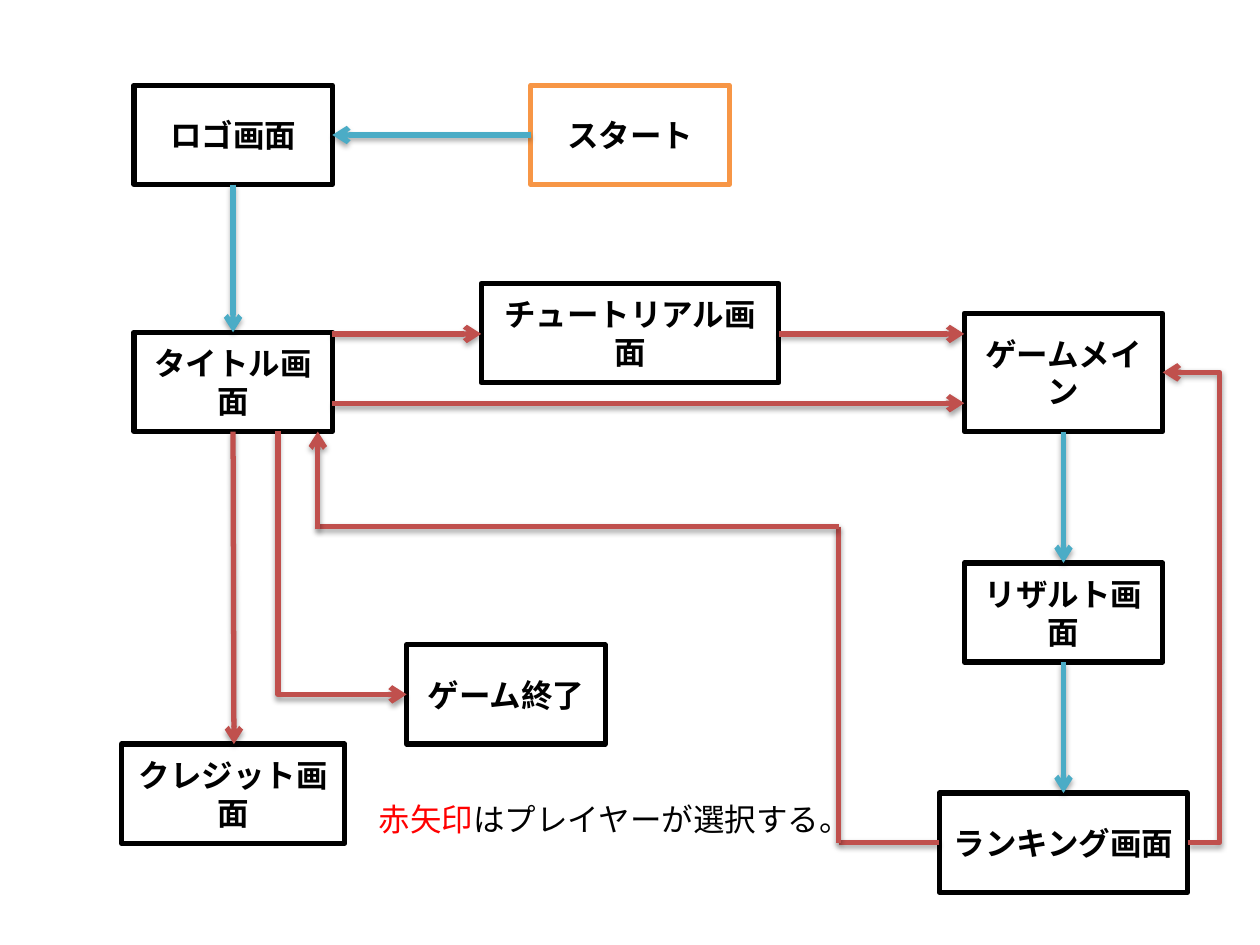
from lxml import etree
from pptx import Presentation
from pptx import util as u
from pptx.dml.color import RGBColor
from pptx.enum import shapes, text
from pptx.oxml import ns

BLACK, WHITE, RED = "000000", "FFFFFF", "FF0000"
AUTOMATIC, CHOSEN, START = "4BACC6", "C0504D", "F79646"
BOX_WIDTH, BOX_HEIGHT = 113.4, 56.7


def color(value):
    """Turn a hex string into a colour."""
    return RGBColor.from_string(value)


def add_child(parent, tag, **attributes):
    """Append a drawing element with attributes to a parent."""
    child = etree.SubElement(parent, ns.qn("a:" + tag))
    for name, value in attributes.items():
        child.set(name, str(value))
    return child


class FlowChart:
    """Style of the chart and the slide it is drawn on."""

    font = {"name": "Calibri", "size": u.Pt(18)}
    line_width = u.Pt(3)

    def __init__(self, slide):
        """Keep the current slide."""
        self.slide = slide

    def add_words(self, paragraph, words, fill=BLACK, bold=False):
        """Add a run in the chart font."""
        run = paragraph.add_run()
        run.text = words
        for name, value in {**self.font, "bold": bold}.items():
            setattr(run.font, name, value)
        run.font.color.rgb = color(fill)

    def box(self, words, left, top, width=BOX_WIDTH, height=BOX_HEIGHT, outline=BLACK):
        """Add a screen box with a centred bold label."""
        shape = self.slide.shapes.add_shape(
            shapes.MSO_SHAPE.RECTANGLE, *map(u.Pt, (left, top, width, height)))
        shape.shadow.inherit = False
        shape.fill.solid()
        shape.fill.fore_color.rgb = color(WHITE)
        shape.line.color.rgb = color(outline)
        shape.line.width = self.line_width
        frame = shape.text_frame
        frame.word_wrap = True
        frame.vertical_anchor = text.MSO_ANCHOR.MIDDLE
        paragraph = frame.paragraphs[0]
        paragraph.alignment = text.PP_ALIGN.CENTER
        self.add_words(paragraph, words, bold=True)

    def line(self, start, end, stroke=CHOSEN, arrow=True, kind="STRAIGHT"):
        """Add a shadowed connector, with an arrowhead at its end if wanted."""
        connector = self.slide.shapes.add_connector(
            shapes.MSO_CONNECTOR[kind], *map(u.Pt, (*start, *end)))
        connector.line.color.rgb = color(stroke)
        connector.line.width = self.line_width
        properties = connector._element.spPr
        if arrow:
            add_child(properties.find(ns.qn("a:ln")), "tailEnd", type="arrow")
        shadow = add_child(add_child(properties, "effectLst"), "outerShdw",
                           blurRad=u.Pt(3.1), dist=u.Pt(1.8), dir=5400000, rotWithShape=0)
        add_child(add_child(shadow, "srgbClr", val=BLACK), "alpha", val=35000)
        return connector

    def loop(self, start, end, bend):
        """Add a three-part elbow whose bend is a share of its width."""
        connector = self.line(start, end, kind="ELBOW")
        guides = connector._element.spPr.find(".//" + ns.qn("a:avLst"))
        add_child(guides, "gd", name="adj1", fmla=f"val {round(bend * 100000)}")

    def corner(self, start, end):
        """Add an elbow that goes down first and then to the right."""
        connector = self.line(start, end, kind="ELBOW")
        across, down = end[0] - start[0], end[1] - start[1]
        connector.left = u.Pt((start[0] + end[0] - down) / 2)
        connector.top = u.Pt((start[1] + end[1] - across) / 2)
        connector.width, connector.height = u.Pt(down), u.Pt(across)
        properties = connector._element.spPr
        properties.find(ns.qn("a:prstGeom")).set("prst", "bentConnector2")
        transform = properties.find(ns.qn("a:xfrm"))
        transform.set("rot", "16200000")
        transform.set("flipH", "1")

    def note(self, parts, left, top, width, height):
        """Add an unwrapped line of text from (words, colour) parts."""
        shape = self.slide.shapes.add_textbox(*map(u.Pt, (left, top, width, height)))
        shape.text_frame.word_wrap = False
        shape.text_frame.auto_size = text.MSO_AUTO_SIZE.SHAPE_TO_FIT_TEXT
        for words, fill in parts:
            self.add_words(shape.text_frame.paragraphs[0], words, fill)


def main():
    """Build the screen flow slide."""
    presentation = Presentation()
    presentation.slide_width, presentation.slide_height = u.Pt(720), u.Pt(540)
    chart = FlowChart(presentation.slides.add_slide(presentation.slide_layouts[6]))

    left_column, right_column = 76.5, 551
    left_middle = left_column + BOX_WIDTH / 2
    right_middle = right_column + BOX_WIDTH / 2
    left_edge, right_edge = left_column + BOX_WIDTH, right_column + BOX_WIDTH
    start_left, tutorial_left, tutorial_width, end_left = 303.3, 275, 170.1, 232.4
    ranking_width, credit_width = 141.8, 127.6
    ranking_left = right_middle - ranking_width / 2
    top_row, title_top, credit_top, end_top = 48.8, 189.9, 425.2, 368.5
    main_top, result_top, ranking_top = 179, 321.7, 453.2
    title_bottom = title_top + BOX_HEIGHT
    top_middle = top_row + BOX_HEIGHT / 2
    ranking_middle = ranking_top + BOX_HEIGHT / 2

    for box in (
        ("タイトル画面", left_column, title_top),
        ("クレジット画面", left_middle - credit_width / 2, credit_top, credit_width),
        ("ゲームメイン", right_column, main_top, BOX_WIDTH, title_bottom - main_top),
        ("チュートリアル画面", tutorial_left, 162, tutorial_width),
        ("ゲーム終了", end_left, end_top),
        ("ロゴ画面", left_column, top_row),
        ("リザルト画面", right_column, result_top),
        ("ランキング画面", ranking_left, ranking_top, ranking_width),
        ("スタート", start_left, top_row, BOX_WIDTH, BOX_HEIGHT, START),
    ):
        chart.box(*box)

    for start, end in (
        ((start_left, top_middle), (left_edge, top_middle)),
        ((left_middle, top_row + BOX_HEIGHT), (left_middle, title_top)),
        ((right_middle, title_bottom), (right_middle, result_top)),
        ((right_middle, result_top + BOX_HEIGHT), (right_middle, ranking_top)),
    ):
        chart.line(start, end, AUTOMATIC)

    tutorial_row, skip_row = 190.8, 230.4
    for start, end in (
        ((left_edge, tutorial_row), (tutorial_left, tutorial_row)),
        ((tutorial_left + tutorial_width, tutorial_row), (right_column, tutorial_row)),
        ((left_edge, skip_row), (right_column, skip_row)),
        ((left_middle, title_bottom), (left_middle + 0.5, credit_top)),
    ):
        chart.line(start, end)
    chart.corner((158.8, title_bottom), (end_left, end_top + BOX_HEIGHT / 2))

    return_left, return_right, return_row = 181.6, 479.2, 301
    chart.line((ranking_left, ranking_middle), (return_right, ranking_middle), arrow=False)
    chart.line((return_right, return_row), (return_right, ranking_middle), arrow=False)
    chart.line((return_right, return_row), (return_left, return_row), arrow=False)
    chart.line((return_left, return_row + 1.5), (return_left, title_bottom))
    chart.loop((ranking_left + ranking_width, ranking_middle),
               (right_edge, main_top + (title_bottom - main_top) / 2), -1.29)

    chart.note((("赤矢印", RED), ("はプレイヤーが選択する。", BLACK)), 209.5, 453.5, 268.6, 29.1)
    presentation.save("out.pptx")


main()
